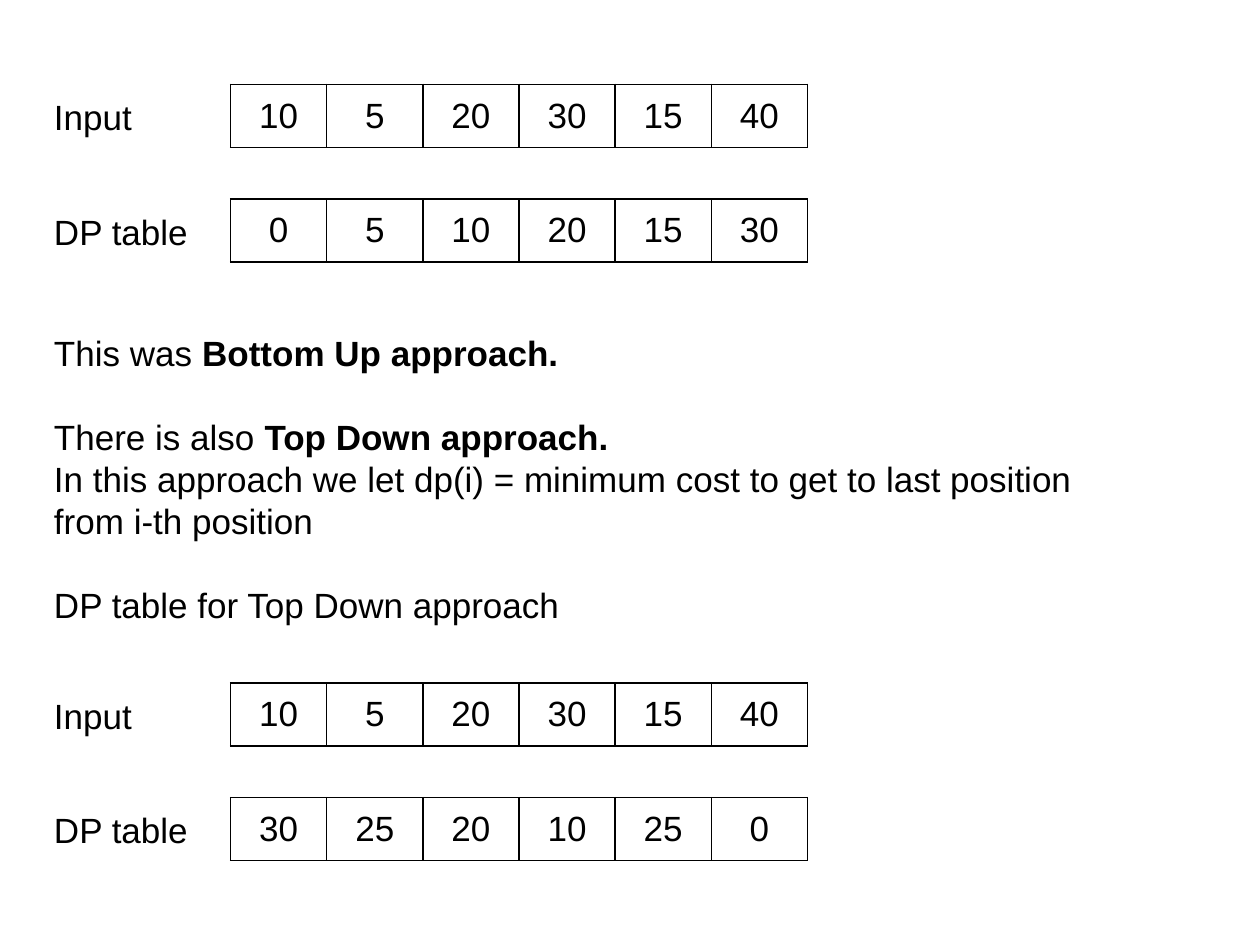
from dataclasses import dataclass

from lxml import etree
from pptx import Presentation
from pptx import util as u
from pptx.dml.color import RGBColor
from pptx.enum import text
from pptx.oxml.ns import qn

PX = 9144  # EMU in one px, at 100 px to the inch


@dataclass(frozen=True)
class Theme:
    font: str = "Arial"
    size: int = 20
    line_pitch: int = 24
    ink: str = "000000"
    border: int = 1


THEME = Theme()


def px(*lengths):
    return [u.Emu(length * PX) for length in lengths]


def write_span(para, words, bold=False):
    span = para.add_run()
    span.text = words
    formats = {"name": THEME.font, "size": u.Pt(THEME.size), "bold": bold}
    for name, value in formats.items():
        setattr(span.font, name, value)
    span.font.color.rgb = RGBColor.from_string(THEME.ink)


def add_text(page, box, paragraphs):
    """Write paragraphs given as (lines of space before, [(words, bold), ...])."""
    frame = page.shapes.add_textbox(*px(*box)).text_frame
    frame.word_wrap = True
    frame.auto_size = text.MSO_AUTO_SIZE.SHAPE_TO_FIT_TEXT
    for index, (gap, spans) in enumerate(paragraphs):
        para = frame.add_paragraph() if index else frame.paragraphs[0]
        para.line_spacing = u.Pt(THEME.line_pitch)
        para.space_before = u.Pt(gap * THEME.line_pitch)
        for words, bold in spans:
            write_span(para, words, bold)


def add_borders(cell):
    properties = cell._tc.get_or_add_tcPr()
    for index, side in enumerate(("lnL", "lnR", "lnT", "lnB")):
        line = etree.Element(qn(f"a:{side}"), w=str(u.Pt(THEME.border)))
        fill = etree.SubElement(line, qn("a:solidFill"))
        etree.SubElement(fill, qn("a:srgbClr"), val=THEME.ink)
        properties.insert(index, line)


def add_array(page, box, values):
    """Draw the values as a table of one row with equal cells."""
    table = page.shapes.add_table(1, len(values), *px(*box)).table
    table.first_row = table.horz_banding = False
    for cell, value in zip(table.rows[0].cells, values):
        cell.fill.background()
        cell.vertical_anchor = text.MSO_ANCHOR.MIDDLE
        para = cell.text_frame.paragraphs[0]
        para.alignment = text.PP_ALIGN.CENTER
        write_span(para, str(value))
        add_borders(cell)


def add_arrays(page, box, arrays):
    """Stack labelled arrays from the top of the box to its bottom."""
    left, top, width, height = box
    indent, row_height = 150, 50
    pitch = (height - row_height) // (len(arrays) - 1)
    for index, (label, values) in enumerate(arrays.items()):
        row_top = top + index * pitch
        add_array(page, (left + indent, row_top, width - indent, row_height), values)
        add_text(page, (left, row_top + 4, 158, 44), [(0, [(label, False)])])


def add_explanation(page, box):
    left, top, width, height = box
    caption_height = 44
    add_text(page, (left, top, width, 178), [
        (0, [("This was ", False), ("Bottom Up approach.", True)]),
        (1, [("There is also ", False), ("Top Down approach.", True)]),
        (0, [("In this approach we let dp(i) = minimum cost to get to last "
              "position from i-th position", False)]),
    ])
    add_text(page, (left, top + height - caption_height, width, caption_height),
             [(0, [("DP table for Top Down approach", False)])])


def main():
    deck = Presentation()
    deck.slide_width, deck.slide_height = px(1000, 750)
    page = deck.slides.add_slide(deck.slide_layouts[6])
    costs = [10, 5, 20, 30, 15, 40]
    add_arrays(page, (33, 67, 608, 141),
               {"Input": costs, "DP table": [0, 5, 10, 20, 15, 30]})
    add_explanation(page, (33, 258, 875, 244))
    add_arrays(page, (33, 542, 608, 141),
               {"Input": costs, "DP table": [30, 25, 20, 10, 25, 0]})
    deck.save("out.pptx")


if __name__ == "__main__":
    main()
